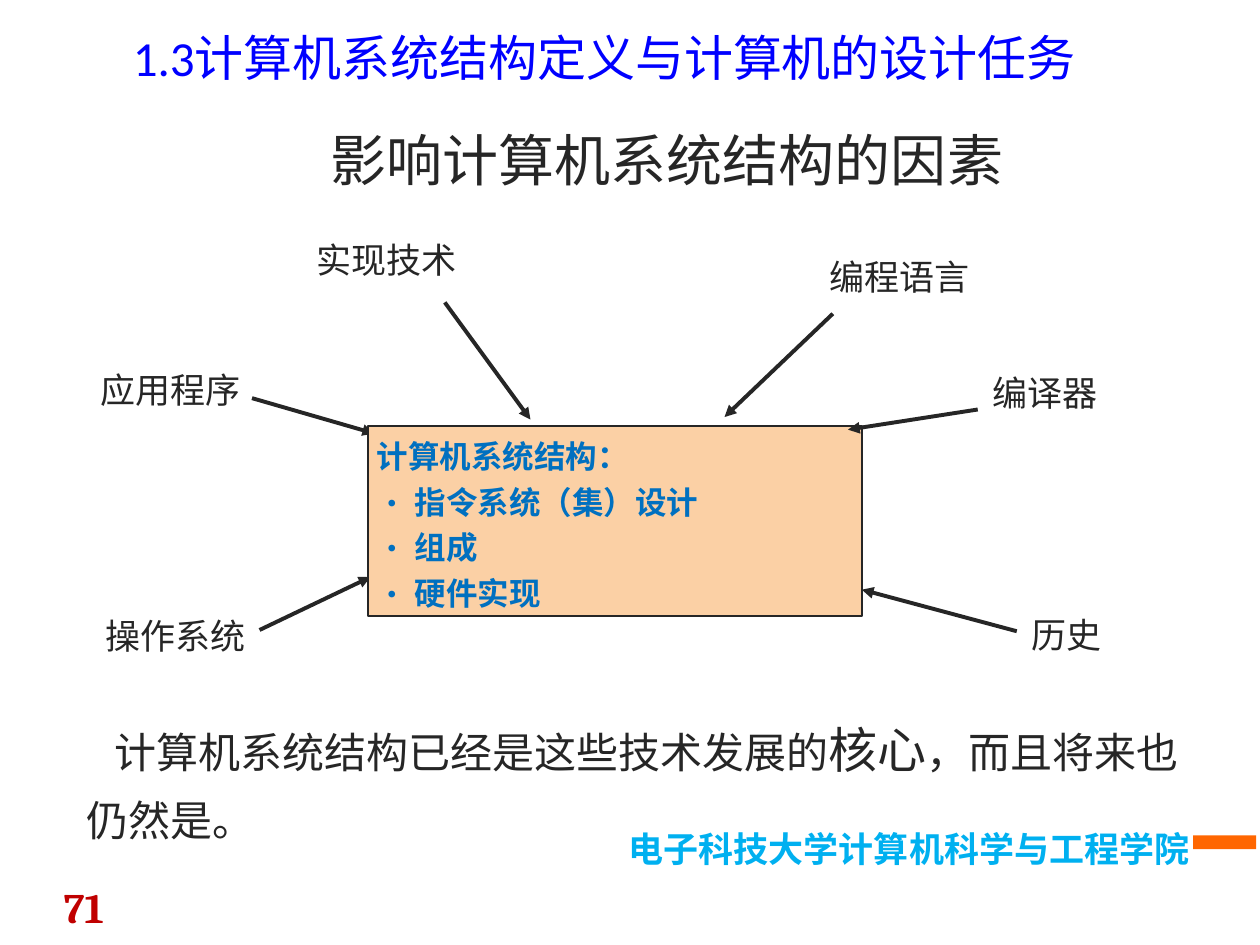
import pptx
import pptx.util
import pptx.dml.color
import pptx.enum.shapes
import pptx.enum.text
import pptx.oxml.ns
import lxml.etree

Inches = pptx.util.Inches
Pt = pptx.util.Pt
RGBColor = pptx.dml.color.RGBColor
Align = pptx.enum.text.PP_ALIGN
Anchor = pptx.enum.text.MSO_ANCHOR
Shape = pptx.enum.shapes.MSO_SHAPE
qn = pptx.oxml.ns.qn

INK = RGBColor(0x26, 0x26, 0x26)
TITLE_BLUE = RGBColor(0x00, 0x00, 0xFF)
TEXT_BLUE = RGBColor(0x00, 0x70, 0xC0)
SKY = RGBColor(0x00, 0xB0, 0xF0)
RED = RGBColor(0xC0, 0x00, 0x00)
ORANGE = RGBColor(0xFF, 0x66, 0x00)
PEACH = RGBColor(0xFB, 0xD0, 0xA5)
HAN = "Noto Sans CJK SC"

deck = pptx.Presentation()
deck.slide_width = Inches(10)
deck.slide_height = Inches(7.5)
page = deck.slides.add_slide(deck.slide_layouts[6])


def write(text, at=None, box=None, size=20, color=INK, font=HAN, bold=False, align=Align.LEFT,
          anchor=Anchor.TOP, wrap=True, inset=(0.1, 0.05), spacing=None, indent=0, bullets=False):
    if box is None:
        box = page.shapes.add_textbox(*map(Inches, at))
    frame = box.text_frame
    frame.word_wrap = wrap
    frame.vertical_anchor = anchor
    frame.margin_left = frame.margin_right = Inches(inset[0])
    frame.margin_top = frame.margin_bottom = Inches(inset[1])
    for index, line in enumerate(text.split("\n")):
        para = frame.paragraphs[0] if index == 0 else frame.add_paragraph()
        para.alignment = align
        if spacing:
            para.line_spacing = spacing
        properties = para._p.get_or_add_pPr()
        if indent:
            properties.set("indent", str(Inches(indent)))
        if bullets and index:
            properties.set("marL", str(Inches(0.3)))
            properties.set("indent", str(Inches(-0.3)))
            lxml.etree.SubElement(properties, qn("a:buFont")).set("typeface", HAN)
            lxml.etree.SubElement(properties, qn("a:buChar")).set("char", "•")
        for part, piece in enumerate(line.split("|")):
            span = para.add_run()
            span.text = piece
            span.font.size = Pt(28 if part == 1 else size)
            span.font.bold = bold
            span.font.name = font
            span.font.color.rgb = color
            east_asian = lxml.etree.SubElement(span._r.get_or_add_rPr(), qn("a:ea"))
            east_asian.set("typeface", HAN)


def draw_arrow(*ends):
    arrow = page.shapes.add_connector(pptx.enum.shapes.MSO_CONNECTOR.STRAIGHT, *map(Inches, ends))
    arrow.line.color.rgb = INK
    arrow.line.width = Pt(2.25)
    lxml.etree.SubElement(arrow.line._get_or_add_ln(), qn("a:tailEnd")).set("type", "triangle")
    lxml.etree.SubElement(arrow._element.spPr, qn("a:effectLst"))


write("71", at=(0.12, 6.95, 1.09, 0.44), size=24, color=RED, font="Cambria", bold=True,
      align=Align.CENTER)

accent = page.shapes.add_shape(Shape.RECTANGLE, Inches(9.47), Inches(6.63), Inches(0.5), Inches(0.11))
accent.shadow.inherit = False
accent.fill.solid()
accent.fill.fore_color.rgb = ORANGE
accent.line.fill.background()

write("电子科技大学计算机科学与工程学院", at=(0.82, 6.52, 8.72, 0.44), color=SKY, bold=True,
      align=Align.RIGHT)
write("1.3计算机系统结构定义与计算机的设计任务", at=(0.2, 0.08, 9.19, 0.75), size=28,
      color=TITLE_BLUE, font="Calibri", align=Align.CENTER, anchor=Anchor.MIDDLE)

factors = [
    ("实现技术", 2.44, 1.86, 1.26, 0.4, 1.02),
    ("编程语言", 6.51, 1.99, 1.26, 0.4, 1.02),
    ("操作系统", 0.77, 4.84, 1.26, 0.4, 1.02),
    ("历史", 8.12, 4.86, 0.7, 0.38, 0.97),
    ("应用程序", 0.73, 2.89, 1.26, 0.4, 1.02),
]
for name, left, top, width, height, spacing in factors:
    write(name, at=(left, top, width, height), wrap=False, inset=(0.07, 0.03), spacing=spacing)

for ends in [
    (2, 3.16, 2.97, 3.44),
    (2.06, 5, 2.94, 4.58),
    (3.53, 2.4, 4.21, 3.33),
    (6.61, 2.49, 5.75, 3.31),
    (8.07, 5.01, 6.84, 4.68),
]:
    draw_arrow(*ends)

core = page.shapes.add_shape(Shape.RECTANGLE, Inches(2.92), Inches(3.38), Inches(3.92), Inches(1.51))
core.shadow.inherit = False
core.fill.solid()
core.fill.fore_color.rgb = PEACH
core.line.color.rgb = INK
core.line.width = Pt(1)
write("计算机系统结构：\n指令系统（集）设计\n组成\n硬件实现", box=core, size=18, color=TEXT_BLUE,
      bold=True, inset=(0.07, 0.03), spacing=Pt(26), bullets=True)

write("编译器", at=(7.78, 2.9, 1.04, 0.44), wrap=False)
draw_arrow(7.76, 3.25, 6.73, 3.41)

write("计算机系统结构已经是这些技术发展的|核心|，而且将来也仍然是。", at=(0.59, 5.6, 9.17, 1.17),
      size=24, spacing=Pt(38), indent=0.22)
write("影响计算机系统结构的因素", at=(1.02, 0.95, 8.55, 0.76), size=32, align=Align.CENTER)

deck.save("out.pptx")
